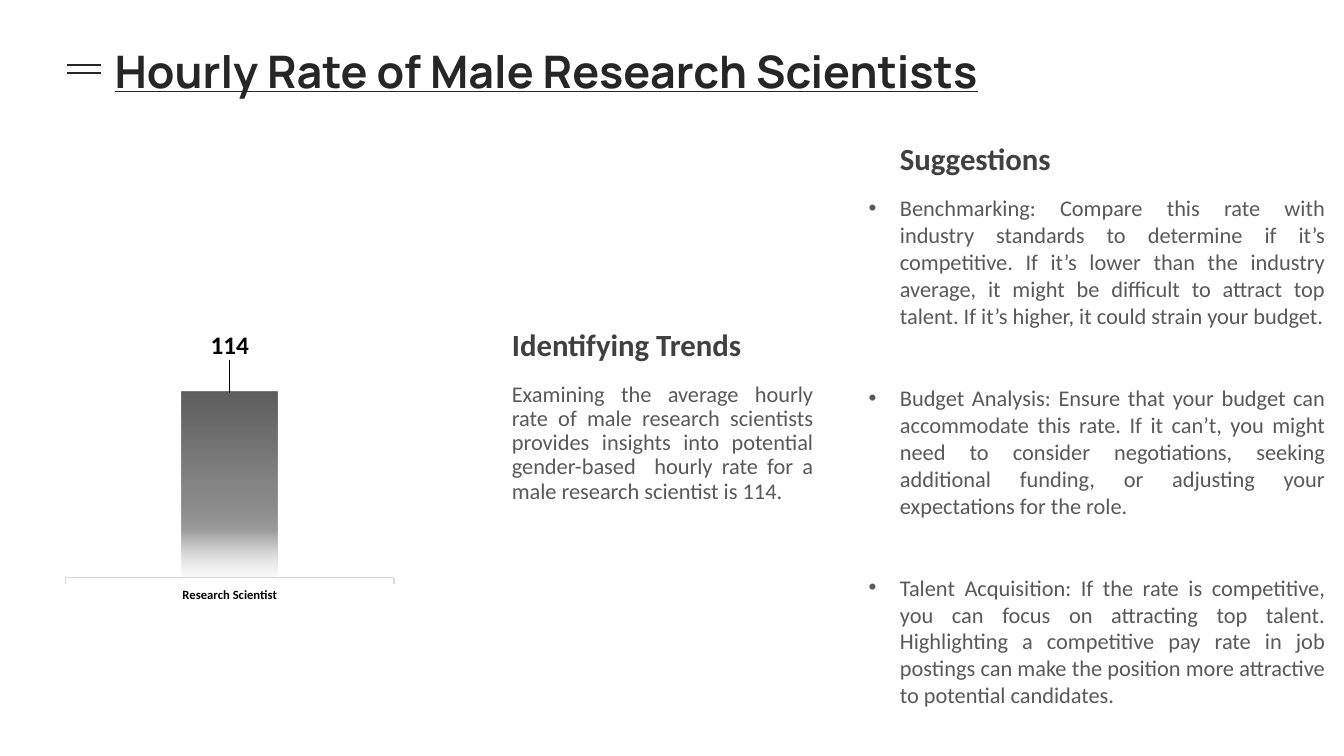
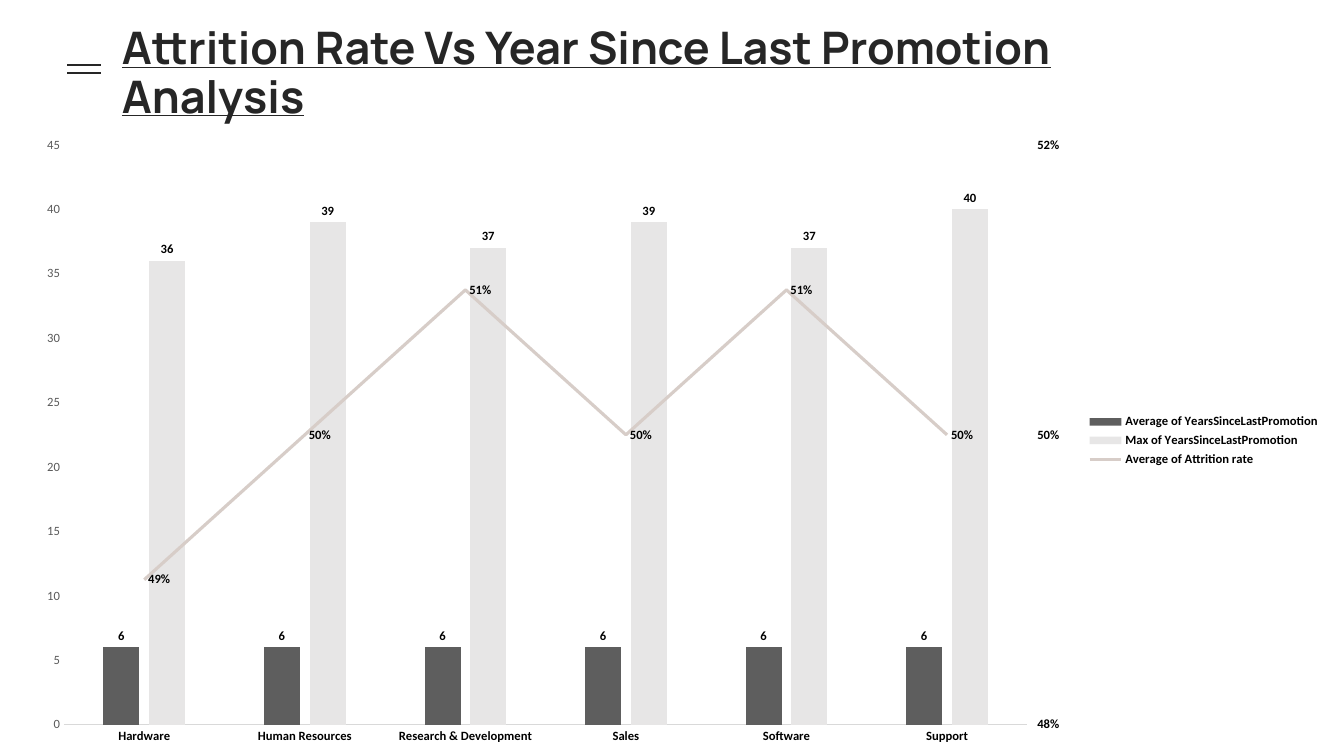
import pptx
import pptx.chart.axis
import pptx.chart.data
import pptx.dml.color
import pptx.enum.chart
import pptx.enum.shapes
import pptx.enum.text
import pptx.oxml
import pptx.oxml.ns
import pptx.util

Cm, Pt = pptx.util.Cm, pptx.util.Pt
ALIGN, ANCHOR = pptx.enum.text.PP_ALIGN, pptx.enum.text.MSO_ANCHOR
CHART, TICK = pptx.enum.chart.XL_CHART_TYPE, pptx.enum.chart.XL_TICK_MARK
LABEL = pptx.enum.chart.XL_LABEL_POSITION

COLORS = {
    "title": "262626", "heading": "404040", "body": "595959", "label": "000000",
    "axis": "D9D9D9", "average": "5E5E5E", "maximum": "E7E6E6", "attrition": "D7CDC8",
    "fade_mid": "9E9E9E", "fade_end": "DFDFDF",
}
TITLE_FONT, BODY_FONT = "Manrope", "Calibri"
CHART_NS = pptx.oxml.ns.nsdecls("c")
DRAWING_NS = pptx.oxml.ns.nsdecls("a")

TRENDS = (
    "Examining the average hourly rate of male research scientists provides insights into "
    "potential gender-based  hourly rate for a male research scientist is 114."
)
SUGGESTIONS = [
    "Benchmarking: Compare this rate with industry standards to determine if it’s competitive. "
    "If it’s lower than the industry average, it might be difficult to attract top talent. "
    "If it’s higher, it could strain your budget.",
    "Budget Analysis: Ensure that your budget can accommodate this rate. If it can’t, you might "
    "need to consider negotiations, seeking additional funding, or adjusting your expectations "
    "for the role.",
    "Talent Acquisition: If the rate is competitive, you can focus on attracting top talent. "
    "Highlighting a competitive pay rate in job postings can make the position more attractive "
    "to potential candidates.",
]
DEPARTMENTS = ["Hardware", "Human Resources", "Research & Development", "Sales", "Software", "Support"]


def rgb(name):
    """Return the named palette colour."""
    return pptx.dml.color.RGBColor.from_string(COLORS[name])


def style_font(font, size, color, bold=False, face=BODY_FONT):
    """Set face, size, colour and weight of a font."""
    font.name, font.size, font.bold = face, Pt(size), bold
    font.color.rgb = rgb(color)


def add_text_frame(slide, box, anchor=ANCHOR.TOP):
    """Add a wrapping text box and return its frame."""
    frame = slide.shapes.add_textbox(*map(Cm, box)).text_frame
    frame.word_wrap = True
    frame.vertical_anchor = anchor
    return frame


def add_run(paragraph, text, spacing, *style):
    """Add one styled run to a paragraph and return its font."""
    paragraph.line_spacing = spacing
    run = paragraph.add_run()
    run.text = text
    style_font(run.font, *style)
    return run.font


def add_header(slide, title, box):
    """Draw the double accent rule and the underlined title."""
    for y in (1.63, 1.85):
        rule = slide.shapes.add_connector(
            pptx.enum.shapes.MSO_CONNECTOR.STRAIGHT, Cm(1.7), Cm(y), Cm(2.54), Cm(y))
        rule.line.color.rgb = rgb("title")
        rule.line.width = Pt(1.5)
        rule._element.spPr.append(pptx.oxml.parse_xml(f"<a:effectLst {DRAWING_NS}/>"))
    frame = add_text_frame(slide, box)
    add_run(frame.paragraphs[0], title, 0.9, 32, "title", True, TITLE_FONT).underline = True


def add_heading(slide, text, box):
    """Add a bottom-anchored section heading."""
    frame = add_text_frame(slide, box, ANCHOR.BOTTOM)
    add_run(frame.paragraphs[0], text, 0.9, 22, "heading", True)


def add_trends(slide, box):
    """Add the trends heading with its paragraph below."""
    x, y, width, height = box
    add_heading(slide, "Identifying Trends", (x, y, width, 2.06))
    paragraph = add_text_frame(slide, (x, y + 2.32, width, height - 2.32)).paragraphs[0]
    paragraph.alignment = ALIGN.JUSTIFY
    add_run(paragraph, TRENDS, 0.9, 16, "body")


def add_suggestions(slide, box):
    """Add the suggestions heading with its bulleted list."""
    x, y, width, height = box
    indent = 0.79
    add_heading(slide, "Suggestions", (x + indent, y, width - indent, 1.14))
    frame = add_text_frame(slide, (x, y + 1.33, width, height - 1.33))
    for index, suggestion in enumerate(SUGGESTIONS):
        paragraph = frame.add_paragraph() if index else frame.paragraphs[0]
        paragraph.alignment = ALIGN.JUSTIFY
        paragraph.space_before = Pt(39.5 if index else 0)
        add_run(paragraph, suggestion, 1.0, 16, "body")
        properties = paragraph._p.get_or_add_pPr()
        properties.set("marL", str(Cm(indent)))
        properties.set("indent", str(-Cm(indent)))
        for bullet in ('<a:buFont {} typeface="Arial"/>', '<a:buChar {} char="•"/>'):
            properties.append(pptx.oxml.parse_xml(bullet.format(DRAWING_NS)))


def add_column_chart(slide, box, categories, series, gap, overlap):
    """Add a clustered column chart with the shared text style."""
    data = pptx.chart.data.CategoryChartData()
    data.categories = categories
    for name, values, number_format in series:
        data.add_series(name, values, number_format)
    chart = slide.shapes.add_chart(CHART.COLUMN_CLUSTERED, *map(Cm, box), data).chart
    style_font(chart.font, 10, "label")
    chart.has_title = chart.has_legend = False
    chart.plots[0].gap_width, chart.plots[0].overlap = gap, overlap
    chart.plots[0].vary_by_categories = False
    chart.value_axis.has_major_gridlines = False
    style_axis(chart.category_axis, "label", True, "axis")
    return chart


def style_axis(axis, color, bold, line=None, tick=TICK.NONE):
    """Set the labels, line and tick marks of an axis."""
    style_font(axis.tick_labels.font, 9, color, bold)
    axis.major_tick_mark, axis.minor_tick_mark = tick, TICK.NONE
    if line:
        axis.format.line.color.rgb = rgb(line)
        axis.format.line.width = Pt(0.75)
    else:
        axis.format.line.fill.background()


def scale_axis(axis, low, high, step, number_format):
    """Set the range and number format of a value axis."""
    axis.minimum_scale, axis.maximum_scale, axis.major_unit = low, high, step
    axis.tick_labels.number_format = number_format
    axis.tick_labels.number_format_is_linked = False


def label_series(series, position, number_format):
    """Show the values of a series as bold labels."""
    labels = series.data_labels
    labels.show_value, labels.position = True, position
    labels.number_format, labels.number_format_is_linked = number_format, False
    style_font(labels.font, 9, "label", True)


def manual_layout(**settings):
    """Build a manual chart layout from its settings."""
    parts = "".join(f'<c:{key} val="{value}"/>' for key, value in settings.items())
    return pptx.oxml.parse_xml(
        f"<c:layout {CHART_NS}><c:manualLayout>{parts}</c:manualLayout></c:layout>")


def fade_fill(series):
    """Fill a series with a downward fade."""
    stops = [(0, "average", 100), (51, "average", 75), (75, "fade_mid", 100), (100, "fade_end", 15)]
    stop_xml = "".join(
        f'<a:gs pos="{position * 1000}"><a:srgbClr val="{COLORS[color]}">'
        f'<a:alpha val="{alpha * 1000}"/></a:srgbClr></a:gs>'
        for position, color, alpha in stops)
    series._element.get_or_add_spPr().append(pptx.oxml.parse_xml(
        f'<a:gradFill {DRAWING_NS}><a:gsLst>{stop_xml}</a:gsLst>'
        '<a:lin ang="5400000" scaled="0"/></a:gradFill>'))


def add_rate_chart(slide, box):
    """Add the single-column hourly rate chart."""
    chart = add_column_chart(
        slide, box, ["Research Scientist"], [("Series 1", [114], "0")], 245, -70)
    chart.category_axis.major_tick_mark = TICK.OUTSIDE
    scale_axis(chart.value_axis, 0, 140, 20, "0")
    chart.value_axis.visible = False
    rate = chart.plots[0].series[0]
    fade_fill(rate)
    label_series(rate, LABEL.OUTSIDE_END, "0")
    rate_label = rate.points[0].data_label
    style_font(rate_label.font, 18, "label", True)
    rate_label.position = LABEL.OUTSIDE_END
    rate._element.xpath(".//c:dLbl/c:idx")[0].addnext(manual_layout(x=0, y=-0.05))
    plot_area = chart._chartSpace.xpath("c:chart/c:plotArea")[0]
    for layout in plot_area.xpath("c:layout"):
        plot_area.remove(layout)
    plot_area.insert(0, manual_layout(
        layoutTarget="inner", xMode="edge", yMode="edge", x=0.032, y=0.291, w=0.951, h=0.414))


def move_to_right_axis(chart, series):
    """Turn a column series into a line on a right axis and return that axis."""
    element = series._element
    for flag in element.xpath("c:invertIfNegative"):
        element.remove(flag)
    line_plot = pptx.oxml.parse_xml(
        f'<c:lineChart {CHART_NS}><c:grouping val="standard"/><c:varyColors val="0"/>'
        '<c:marker val="1"/><c:axId val="50010"/><c:axId val="50020"/></c:lineChart>')
    line_plot.insert(2, element)
    plot_area = chart._chartSpace.xpath("c:chart/c:plotArea")[0]
    plot_area.xpath("c:barChart")[0].addnext(line_plot)
    axis_xml = (
        '<c:{kind} {ns}><c:axId val="{own}"/><c:scaling><c:orientation val="minMax"/></c:scaling>'
        '<c:delete val="{hidden}"/><c:axPos val="{side}"/><c:crossAx val="{other}"/>'
        '<c:crosses val="{crosses}"/></c:{kind}>')
    hidden_axis = pptx.oxml.parse_xml(axis_xml.format(
        kind="catAx", ns=CHART_NS, own=50010, other=50020, hidden=1, side="b", crosses="autoZero"))
    right_axis = pptx.oxml.parse_xml(axis_xml.format(
        kind="valAx", ns=CHART_NS, own=50020, other=50010, hidden=0, side="r", crosses="max"))
    plot_area.xpath("c:valAx")[-1].addnext(right_axis)
    right_axis.addnext(hidden_axis)
    return pptx.chart.axis.ValueAxis(right_axis)


def add_attrition_chart(slide, box):
    """Add the promotion columns with the attrition line."""
    chart = add_column_chart(slide, box, DEPARTMENTS, [
        ("Average of YearsSinceLastPromotion", [6] * len(DEPARTMENTS), "0"),
        ("Max of YearsSinceLastPromotion", [36, 39, 37, 39, 37, 40], "0"),
        ("Average of Attrition rate", [0.49, 0.5, 0.51, 0.5, 0.51, 0.5], "0%"),
    ], 219, -27)
    style_axis(chart.value_axis, "body", False)
    scale_axis(chart.value_axis, 0, 45, 5, "0")
    right_axis = move_to_right_axis(chart, chart.plots[0].series[2])
    style_axis(right_axis, "label", True, tick=TICK.OUTSIDE)
    scale_axis(right_axis, 0.48, 0.52, 0.02, "0%")
    columns, line_plot = chart.plots
    for years, color in zip(columns.series, ("average", "maximum")):
        years.format.fill.solid()
        years.format.fill.fore_color.rgb = rgb(color)
        label_series(years, LABEL.OUTSIDE_END, "0")
    attrition = line_plot.series[0]
    attrition.smooth = False
    attrition.marker.style = pptx.enum.chart.XL_MARKER_STYLE.NONE
    attrition.format.line.color.rgb = rgb("attrition")
    attrition.format.line.width = Pt(2.25)
    label_series(attrition, LABEL.RIGHT, "0%")
    chart.has_legend = True
    chart.legend.position = pptx.enum.chart.XL_LEGEND_POSITION.RIGHT
    chart.legend.include_in_layout = False
    style_font(chart.legend.font, 9, "label", True)


def build_rate_slide(slide):
    """Lay out the hourly rate slide."""
    add_header(slide, "Hourly Rate of Male Research Scientists", (2.64, 1.14, 23.67, 1.8))
    add_trends(slide, (12.65, 7.21, 8.1, 6.18))
    add_suggestions(slide, (21.64, 3.45, 12.01, 14.44))
    add_rate_chart(slide, (1.37, 4.78, 8.71, 13.87))


def build_attrition_slide(slide):
    """Lay out the attrition slide."""
    add_attrition_chart(slide, (0.53, 3.15, 32.99, 15.9))
    add_header(slide, "Attrition Rate Vs Year Since Last Promotion Analysis",
               (2.82, 0.53, 28.27, 3.1))


def main():
    """Build and save the presentation."""
    deck = pptx.Presentation()
    deck.slide_width, deck.slide_height = Cm(33.87), Cm(19.05)
    for build in (build_rate_slide, build_attrition_slide):
        build(deck.slides.add_slide(deck.slide_layouts[6]))
    deck.save("out.pptx")


if __name__ == "__main__":
    main()
